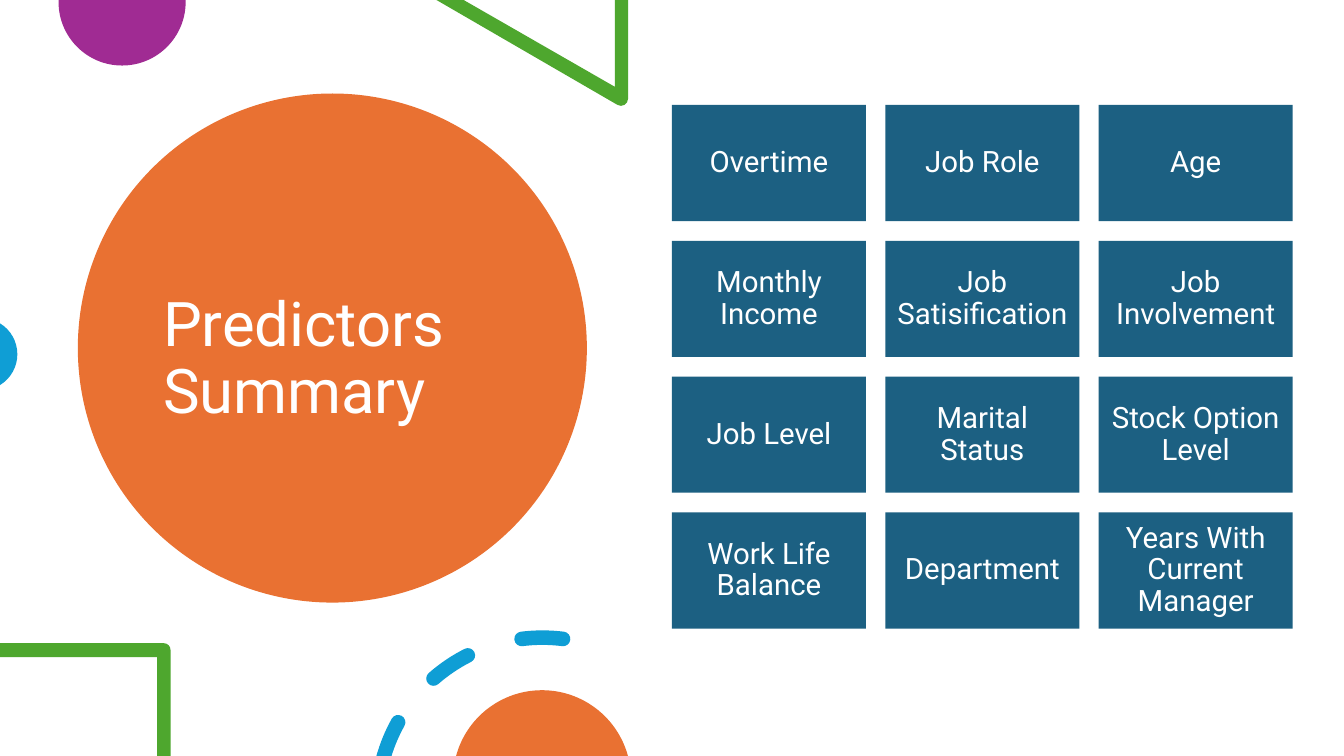
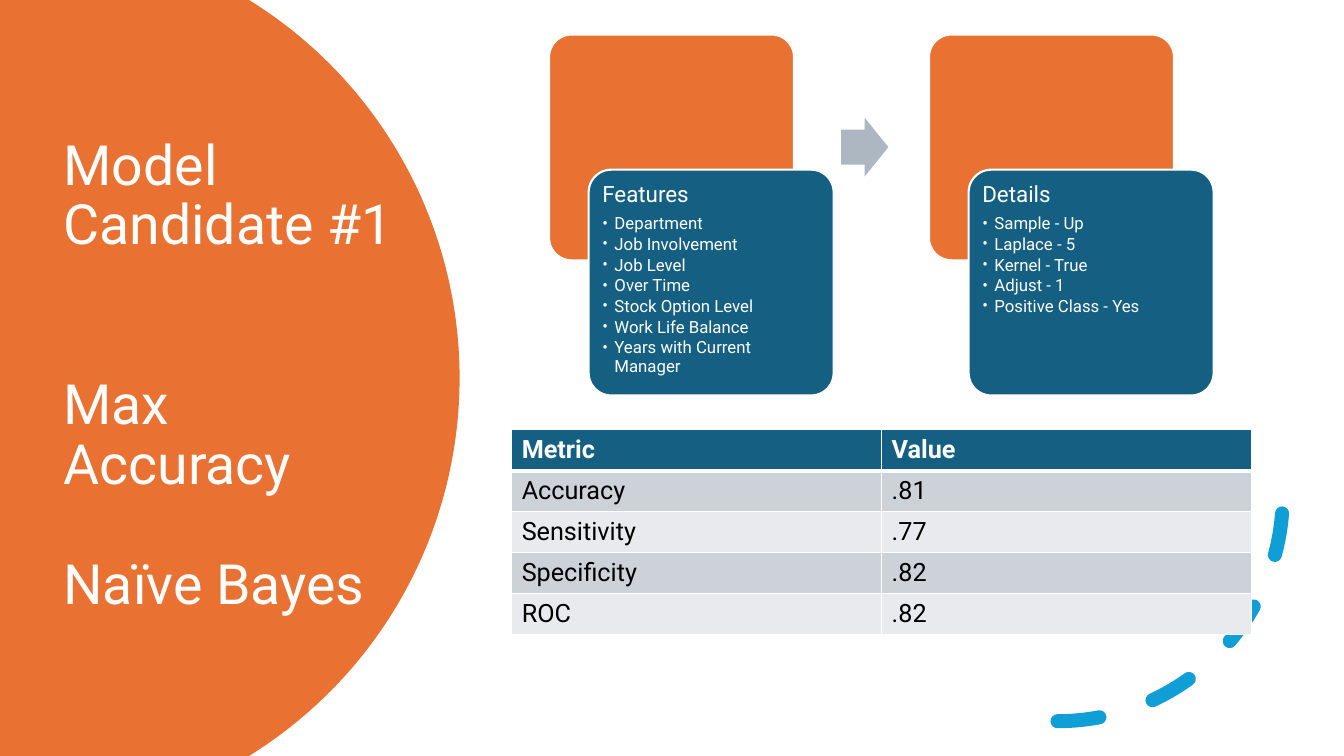
from dataclasses import dataclass
from itertools import islice
from math import asin, ceil, cos, degrees, radians, sin, tan

from lxml import etree
from pptx import Presentation
from pptx.dml.color import RGBColor
from pptx.enum.dml import MSO_LINE
from pptx.enum.shapes import MSO_SHAPE
from pptx.enum.text import MSO_ANCHOR, PP_ALIGN
from pptx.oxml.ns import qn
from pptx.util import Pt

OVAL = MSO_SHAPE.OVAL
RECT = MSO_SHAPE.RECTANGLE
ROUND = MSO_SHAPE.ROUNDED_RECTANGLE
ARROW = MSO_SHAPE.RIGHT_ARROW
ARC = MSO_SHAPE.ARC
DASH = MSO_LINE.DASH
TOP = MSO_ANCHOR.TOP
MIDDLE = MSO_ANCHOR.MIDDLE
LEFT = PP_ALIGN.LEFT
CENTER = PP_ALIGN.CENTER

WHITE = RGBColor(0xFF, 0xFF, 0xFF)
BLACK = RGBColor(0, 0, 0)
ORANGE = RGBColor(0xE9, 0x71, 0x32)
PURPLE = RGBColor(0xA0, 0x2B, 0x93)
GREEN = RGBColor(0x4E, 0xA7, 0x2E)
BLUE = RGBColor(0x0F, 0x9E, 0xD5)
TEAL = RGBColor(0x15, 0x60, 0x82)
TILE = RGBColor(0x1C, 0x60, 0x82)
GREY = RGBColor(0xAC, 0xB7, 0xC1)
DARK = RGBColor(0xCC, 0xD2, 0xD8)
LIGHT = RGBColor(0xE8, 0xEA, 0xED)

FONT = "Roboto"
WIDE, HIGH = 960, 540
Steps = list[tuple[float, ...]]


@dataclass(frozen=True)
class Box:
    x: float
    y: float
    w: float
    h: float

    def emu(self) -> tuple[int, ...]:
        return tuple(Pt(n) for n in (self.x, self.y, self.w, self.h))

    def move(self, dx: float, dy: float) -> "Box":
        return Box(self.x + dx, self.y + dy, self.w, self.h)


@dataclass(frozen=True)
class Card:
    head: str
    items: tuple[str, ...]


TILES = (
    "Overtime", "Job Role", "Age",
    "Monthly Income", "Job Satisification", "Job Involvement",
    "Job Level", "Marital Status", "Stock Option Level",
    "Work Life Balance", "Department", "Years With Current Manager",
)
CARDS = (
    Card("Features", (
        "Department", "Job Involvement", "Job Level", "Over Time",
        "Stock Option Level", "Work Life Balance",
        "Years with Current Manager",
    )),
    Card("Details", (
        "Sample - Up", "Laplace - 5", "Kernel - True", "Adjust - 1",
        "Positive Class - Yes",
    )),
)
ROWS = (
    ("Metric", "Value"),
    ("Accuracy", ".81"),
    ("Sensitivity", ".77"),
    ("Specificity", ".82"),
    ("ROC", ".82"),
)


def write(frame, text: str, *, size: float, color: RGBColor = WHITE,
          bold: bool = False, align=LEFT, lead: float = 0.9,
          after: float = 0, bullet: bool = False) -> None:
    para = frame.paragraphs[0]
    if para.runs:
        para = frame.add_paragraph()
    para.alignment = align
    para.line_spacing = lead
    para.space_after = Pt(after)
    if bullet:
        props = para._p.get_or_add_pPr()
        props.set("marL", str(Pt(8.64)))
        props.set("indent", str(-Pt(8.64)))
        etree.SubElement(props, qn("a:buFont")).set("typeface", FONT)
        etree.SubElement(props, qn("a:buChar")).set("char", "•")
    run = para.add_run()
    run.text = text
    run.font.name = FONT
    run.font.size = Pt(size)
    run.font.bold = bold
    run.font.color.rgb = color


def fit(frame, pad: float, anchor) -> None:
    frame.word_wrap = True
    frame.vertical_anchor = anchor
    frame.margin_left = frame.margin_right = Pt(pad)
    frame.margin_top = frame.margin_bottom = Pt(pad)


def paint(shape, color: RGBColor, edge: float = 0) -> None:
    shape.shadow.inherit = False
    shape.fill.solid()
    shape.fill.fore_color.rgb = color
    if edge:
        shape.line.color.rgb = WHITE
        shape.line.width = Pt(edge)
    else:
        shape.line.fill.background()


def draw(slide, kind, box: Box, color: RGBColor, edge: float = 0,
         tweaks: tuple[float, ...] = ()):
    shape = slide.shapes.add_shape(kind, *box.emu())
    for i, value in enumerate(tweaks):
        shape.adjustments[i] = value
    paint(shape, color, edge)
    return shape


def curve(x: float, y: float, r: float, start: float, end: float) -> Steps:
    count = ceil(abs(end - start) / 90)
    turn = radians(end - start) / count
    pull = 4 / 3 * tan(turn / 4)
    a = radians(start)
    steps: Steps = [(x + r * cos(a), y + r * sin(a))]
    for i in range(count):
        a = radians(start) + turn * i
        b = a + turn
        steps.append((
            x + r * (cos(a) - pull * sin(a)), y + r * (sin(a) + pull * cos(a)),
            x + r * (cos(b) + pull * sin(b)), y + r * (sin(b) - pull * cos(b)),
            x + r * cos(b), y + r * sin(b),
        ))
    return steps


def trace(slide, color: RGBColor, *loops: Steps) -> None:
    pen = slide.shapes.build_freeform(*map(Pt, loops[0][0]))
    for i, loop in enumerate(loops):
        if i:
            pen.move_to(*map(Pt, loop[0]))
        pen.add_line_segments(
            [(Pt(step[j]), Pt(step[j + 1])) for step in loop[1:]
             for j in range(0, len(step), 2)], close=True)
    shape = pen.convert_to_shape()
    paint(shape, color)
    nodes = iter(list(shape.element.spPr.iter(qn("a:lnTo"))))
    for step in (step for loop in loops for step in loop[1:]):
        group = list(islice(nodes, len(step) // 2))
        if len(group) == 3:
            bend = etree.Element(qn("a:cubicBezTo"))
            group[0].addprevious(bend)
            for node in group:
                bend.append(node[0])
                node.getparent().remove(node)


def band(x: float, y: float, r: float, half: float,
         start: float, end: float) -> Steps:
    outer, inner = (
        max(start, 180 + degrees(asin((y - HIGH) / ring)))
        for ring in (r + half, r - half))
    a, b = radians(start), radians(end)
    steps = (curve(x, y, r + half, outer, end)
             + curve(x + r * cos(b), y + r * sin(b), half,
                     end, end + 180)[1:]
             + curve(x, y, r - half, end, inner)[1:])
    if outer == start:
        steps += curve(x + r * cos(a), y + r * sin(a), half,
                       start + 180, start + 360)[1:]
    return steps


def title(slide, box: Box, size: float,
          lines: tuple[tuple[str, float], ...]) -> None:
    frame = slide.shapes.add_textbox(*box.emu()).text_frame
    fit(frame, 7.2, MIDDLE)
    for text, after in lines:
        write(frame, text, size=size, after=after)


def decor(slide) -> None:
    trace(slide, PURPLE, [(41.8, 0), (132.6, 0)]
          + curve(87.2, 1.4, 45.4, 0, 180))
    trace(slide, GREEN, [(448.6, 0), (439.2, 0), (439.2, 62), (331.2, 0),
                         (311.8, 0)] + curve(443.6, 70.6, 5, 120, 0))
    trace(slide, BLUE, curve(-13.4, 253, 25.8, -58.7, 58.7))
    trace(slide, GREEN, [(0, 459.4), (0, 469.4), (112.3, 469.4),
                         (112.3, 540), (121.8, 540)]
          + curve(117, 464.2, 4.8, 0, -90))
    trace(slide, BLUE, *(
        band(387.4, 573.5, 118, 5.2, mid - 7.2, mid + 7.2)
        for mid in (202, 236, 270)))
    trace(slide, ORANGE, curve(387.2, 556.6, 63.6, 195.1, 344.9))


def grid(slide) -> None:
    first = Box(480, 75, 138.6, 83)
    for i, text in enumerate(TILES):
        row, col = divmod(i, 3)
        tile = draw(slide, RECT, first.move(152.4 * col, 97 * row), TILE)
        fit(tile.text_frame, 6.3, MIDDLE)
        write(tile.text_frame, text, size=21, align=CENTER)


def swoop(slide) -> None:
    arc = slide.shapes.add_shape(ARC, *Box(594.5, 193.4, 321.8, 321.8).emu())
    arc.shadow.inherit = False
    arc.fill.background()
    arc.line.color.rgb = BLUE
    arc.line.width = Pt(10)
    arc.line.dash_style = DASH
    props = arc.element.spPr
    props.find(qn("a:ln")).set("cap", "rnd")
    props.find(qn("a:xfrm")).set("flipV", "1")


def border(cell, widths: dict[str, float]) -> None:
    props = cell._tc.get_or_add_tcPr()
    for i, (side, width) in enumerate(widths.items()):
        line = etree.Element(qn("a:ln" + side), w=str(Pt(width)))
        fill = etree.SubElement(line, qn("a:solidFill"))
        etree.SubElement(fill, qn("a:srgbClr")).set("val", str(WHITE))
        props.insert(i, line)


def metrics(slide) -> None:
    box = Box(365.5, 306.9, 528.5, 146.5)
    table = slide.shapes.add_table(len(ROWS), 2, *box.emu()).table
    for i, row in enumerate(ROWS):
        head = i == 0
        color = TEAL if head else DARK if i % 2 else LIGHT
        for j, text in enumerate(row):
            cell = table.cell(i, j)
            cell.fill.solid()
            cell.fill.fore_color.rgb = color
            border(cell, {"L": 1, "R": 1, "T": 3 if i == 1 else 1,
                          "B": 3 if head else 1})
            write(cell.text_frame, text, size=18, bold=head, lead=1,
                  color=WHITE if head else BLACK)


def cards(slide) -> None:
    first = Box(392.2, 24.7, 175, 161.3)
    for i, card in enumerate(CARDS):
        back = first.move(271.4 * i, 0)
        draw(slide, ROUND, back, ORANGE, 1.5, (0.1,))
        front = draw(slide, ROUND, back.move(28.3, 96.5), TEAL, 1.5, (0.1,))
        frame = front.text_frame
        fit(frame, 5.1, TOP)
        write(frame, card.head, size=16, after=5.6)
        for item in card.items:
            write(frame, item, size=12, after=1.8, bullet=True)
    draw(slide, ARROW, Box(600.8, 84.2, 33.8, 41.8), GREY,
         tweaks=(0.6, 0.5))


def main() -> None:
    deck = Presentation()
    deck.slide_width, deck.slide_height = Pt(WIDE), Pt(HIGH)
    blank = deck.slide_layouts[6]

    slide = deck.slides.add_slide(blank)
    draw(slide, OVAL, Box(55.6, 66.8, 363.6, 363.6), ORANGE)
    title(slide, Box(109.4, 97, 254.9, 320.4), 44,
          (("Predictors Summary", 0),))
    decor(slide)
    grid(slide)

    slide = deck.slides.add_slide(blank)
    trace(slide, ORANGE, [(0, 0)]
          + curve(10.8, 270, 317.5, -58.25, 58.25) + [(0, 540)])
    title(slide, Box(38.2, 93.4, 251.3, 351.4), 39.6,
          (("Model Candidate #1", 85.7), ("Max Accuracy", 42.9),
           ("Naïve Bayes", 0)))
    swoop(slide)
    metrics(slide)
    cards(slide)

    deck.save("out.pptx")


if __name__ == "__main__":
    main()
